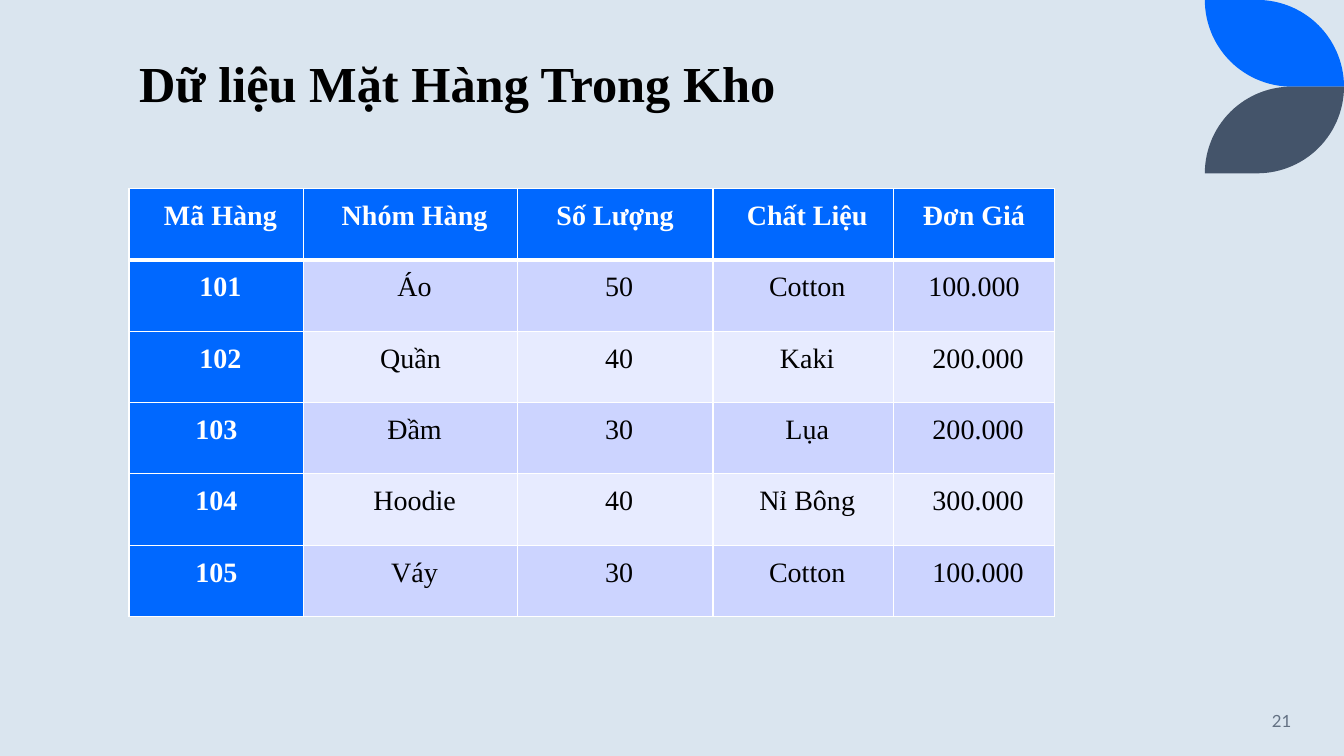
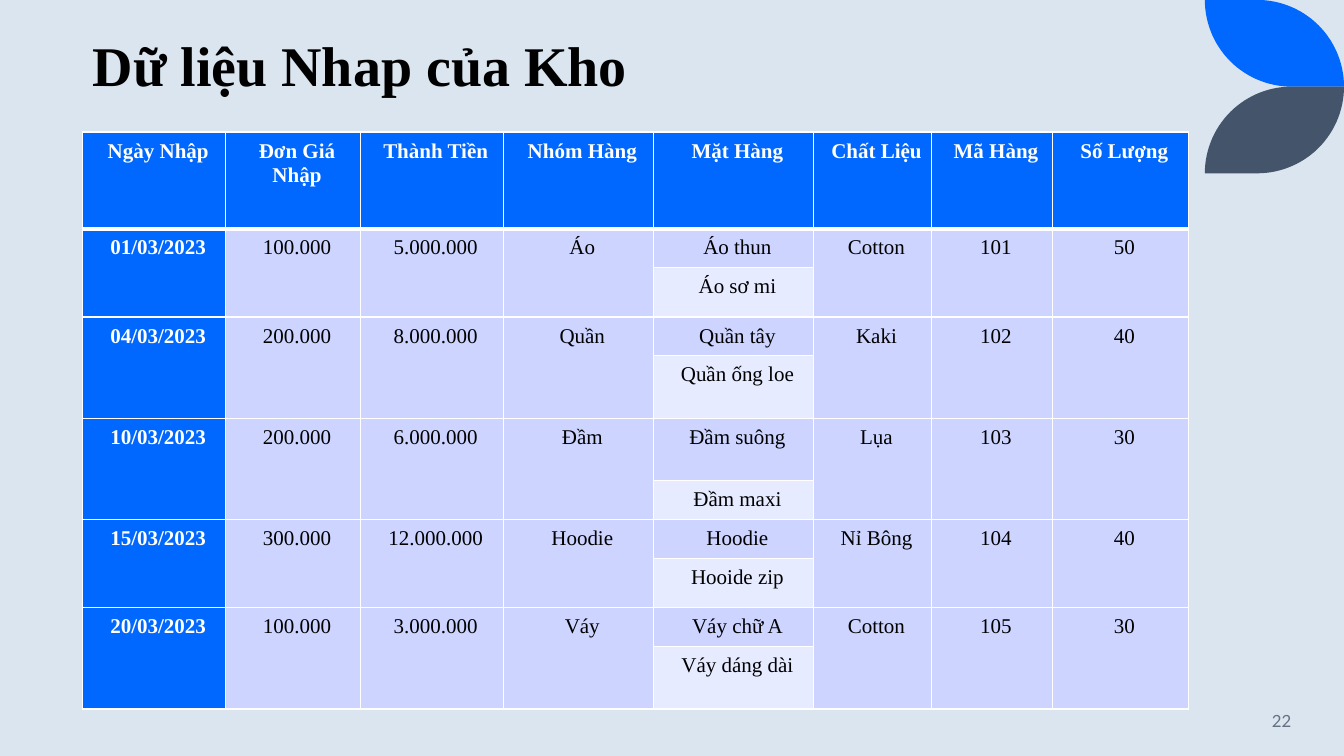
from math import cos, radians, sin

from lxml.etree import SubElement
from pptx import Presentation
from pptx.dml.color import RGBColor
from pptx.enum.text import MSO_ANCHOR, PP_ALIGN
from pptx.oxml.ns import qn
from pptx.util import Inches, Pt


class Theme:
    background = RGBColor.from_string("DAE5EF")
    accent = RGBColor.from_string("0068FF")
    slate = RGBColor.from_string("44546A")
    bands = RGBColor.from_string("E7EBFF"), RGBColor.from_string("CCD4FF")
    text = RGBColor.from_string("000000")
    inverse = RGBColor.from_string("FFFFFF")
    muted = RGBColor.from_string("637183")
    serif = "Times New Roman"
    sans = "Lato"
    number_size = 12
    rule = 1
    header_rule = 3


def add_text(paragraph, text, face, size, color, bold=False):
    run = paragraph.add_run()
    run.text = text
    run.font.name = face
    run.font.size = Pt(size)
    run.font.color.rgb = color
    run.font.bold = bold


def add_borders(cell, row_index):
    properties = cell._tc.get_or_add_tcPr()
    heavy = {"lnT": row_index == 1, "lnB": row_index == 0}
    for position, side in enumerate(("lnL", "lnR", "lnT", "lnB")):
        points = Theme.header_rule if heavy.get(side) else Theme.rule
        border = properties.makeelement(qn(f"a:{side}"), {"w": str(Pt(points))})
        fill = SubElement(border, qn("a:solidFill"))
        SubElement(fill, qn("a:srgbClr"), {"val": str(Theme.inverse)})
        properties.insert(position, border)


goods = [
    ["Mã Hàng", "Nhóm Hàng", "Số Lượng", "Chất Liệu", "Đơn Giá"],
    ["101", "Áo", "50", "Cotton", "100.000"],
    ["102", "Quần", "40", "Kaki", "200.000"],
    ["103", "Đầm", "30", "Lụa", "200.000"],
    ["104", "Hoodie", "40", "Nỉ Bông", "300.000"],
    ["105", "Váy", "30", "Cotton", "100.000"],
]

receipts = [
    ["Ngày Nhập", "Đơn Giá\nNhập", "Thành Tiền", "Nhóm Hàng",
     "Mặt Hàng", "Chất Liệu", "Mã Hàng", "Số Lượng"],
]
for date, price, total, group, items, material, code, quantity in [
    ("01/03/2023", "100.000", "5.000.000", "Áo", ("Áo thun", "Áo sơ mi"), "Cotton", "101", "50"),
    ("04/03/2023", "200.000", "8.000.000", "Quần", ("Quần tây", "Quần ống loe"), "Kaki", "102", "40"),
    ("10/03/2023", "200.000", "6.000.000", "Đầm", ("Đầm suông", "Đầm maxi"), "Lụa", "103", "30"),
    ("15/03/2023", "300.000", "12.000.000", "Hoodie", ("Hoodie", "Hooide zip"), "Nỉ Bông", "104", "40"),
    ("20/03/2023", "100.000", "3.000.000", "Váy", ("Váy chữ A", "Váy dáng dài"), "Cotton", "105", "30"),
]:
    receipts.append([date, price, total, group, items[0], material, code, quantity])
    receipts.append([None] * 4 + [items[1]] + [None] * 3)

topics = [
    {
        "title": "Dữ liệu Mặt Hàng Trong Kho", "title_size": 36,
        "title_box": (9.6, 5.6, 80.2, 19.33), "title_inset": 0.1,
        "number": "21", "records": goods, "origin": (9.6, 24.93),
        "columns": [13, 15.9, 14.55, 13.43, 12], "rows": [9.44] * 6,
        "size": 20, "inset": 0.1,
        "unindented": {(0, 2), (0, 4), (1, 4), (2, 1), (3, 0), (4, 0), (5, 0)},
    },
    {
        "title": "Dữ liệu Nhap của Kho", "title_size": 40,
        "title_box": (6.15, 0.8, 67.2, 22.67), "title_inset": 0.24,
        "number": "22", "records": receipts, "origin": (6.15, 17.47),
        "columns": [10.65, 10, 10.65, 11.17, 11.92, 8.78, 9, 10.1],
        "rows": [12.8, 4.93, 6.53, 4.93, 8.27, 8.27, 4.93, 4.93, 6.53, 4.93, 8.27],
        "size": 15, "inset": 0.06, "unindented": set(),
    },
]

deck = Presentation()
deck.slide_width, deck.slide_height = Inches(13.33), Inches(7.5)
column, row = deck.slide_width / 100, deck.slide_height / 100

layout = deck.slide_layouts[5]
layout.background.fill.solid()
layout.background.fill.fore_color.rgb = Theme.background
for placeholder in list(layout.placeholders):
    if placeholder.placeholder_format.idx != 0:
        placeholder.element.getparent().remove(placeholder.element)

slides = [deck.slides.add_slide(layout) for topic in topics]

radius, leaf_width = Inches(0.86), Inches(1.38)
leaf_left = deck.slide_width - leaf_width
angles = [radians(degree) for degree in range(0, 91, 3)]
upper_arc = [(leaf_width - radius + radius * sin(a), radius - radius * cos(a)) for a in angles]
lower_arc = [(leaf_width - x, radius - y) for x, y in upper_arc]
leaves = []
for direction, top, color in ((1, 0, Theme.accent), (-1, 2 * radius, Theme.slate)):
    outline = [(leaf_left + x, top + direction * y) for x, y in upper_arc + lower_arc]
    builder = slides[0].shapes.build_freeform(*outline[0])
    builder.add_line_segments(outline[1:], close=True)
    leaf = builder.convert_to_shape()
    leaf.shadow.inherit = False
    leaf.fill.solid()
    leaf.fill.fore_color.rgb = color
    leaf.line.fill.background()
    leaves.append(leaf)
for leaf in leaves:
    layout.shapes.element.append(leaf.element)

for slide, topic in zip(slides, topics):
    title = slide.shapes.title
    left, top, width, height = topic["title_box"]
    title.left, title.top = int(left * column), int(top * row)
    title.width, title.height = int(width * column), int(height * row)
    heading = title.text_frame
    heading.word_wrap = True
    heading.vertical_anchor = MSO_ANCHOR.TOP
    heading.margin_top = Inches(topic["title_inset"])
    heading.paragraphs[0].alignment = PP_ALIGN.LEFT
    heading.paragraphs[0].space_before = Pt(0)
    add_text(heading.paragraphs[0], topic["title"], Theme.serif,
             topic["title_size"], Theme.text, True)

    page = slide.shapes.add_textbox(
        int(83.25 * column), int(92.67 * row), int(13.58 * column), int(5.33 * row)
    ).text_frame
    page.word_wrap = True
    page.vertical_anchor = MSO_ANCHOR.MIDDLE
    page.paragraphs[0].alignment = PP_ALIGN.RIGHT
    add_text(page.paragraphs[0], topic["number"], Theme.sans, Theme.number_size, Theme.muted)

    records = topic["records"]
    left, top = topic["origin"]
    table = slide.shapes.add_table(
        len(records), len(records[0]), int(left * column), int(top * row),
        int(sum(topic["columns"]) * column), int(sum(topic["rows"]) * row),
    ).table
    for table_column, share in zip(table.columns, topic["columns"]):
        table_column.width = int(share * column)
    for table_row, share in zip(table.rows, topic["rows"]):
        table_row.height = int(share * row)

    inset = Inches(topic["inset"])
    for r, record in enumerate(records):
        for c, value in enumerate(record):
            cell = table.cell(r, c)
            key = r == 0 or c == 0
            cell.margin_left = cell.margin_right = inset
            cell.margin_top = cell.margin_bottom = inset
            cell.fill.solid()
            cell.fill.fore_color.rgb = Theme.accent if key else Theme.bands[r % 2]
            add_borders(cell, r)
            if value is None:
                table.cell(r - 1, c).merge(cell)
                continue
            for index, line in enumerate(value.split("\n")):
                frame = cell.text_frame
                paragraph = frame.add_paragraph() if index else frame.paragraphs[0]
                paragraph.alignment = PP_ALIGN.CENTER
                paragraph.line_spacing = 1.06
                if (r, c) not in topic["unindented"]:
                    paragraph._p.get_or_add_pPr().set("marL", str(Inches(0.08)))
                add_text(paragraph, line, Theme.serif, topic["size"],
                         Theme.inverse if key else Theme.text, key)

deck.save("out.pptx")
